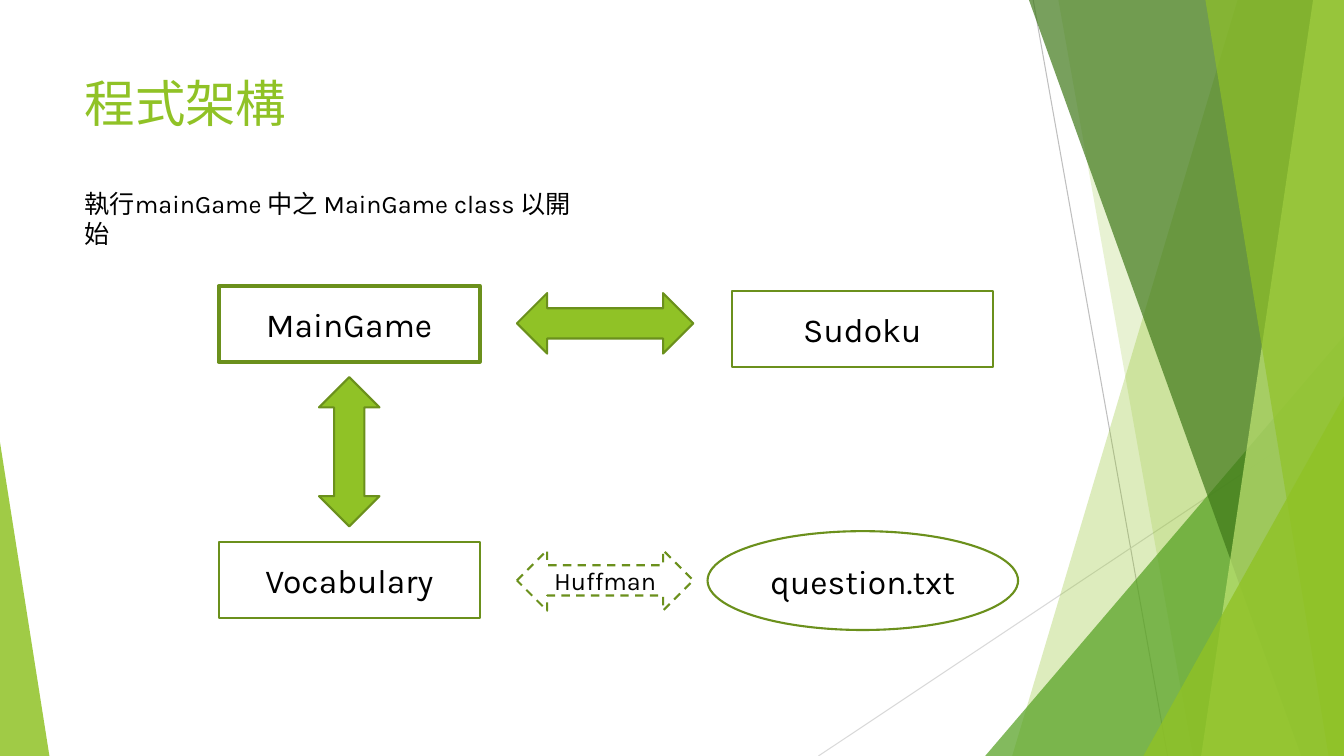
from pptx import Presentation
from pptx.dml.color import RGBColor
from pptx.enum.dml import MSO_LINE
from pptx.enum.shapes import MSO_CONNECTOR, MSO_SHAPE as SHAPE
from pptx.enum.text import MSO_ANCHOR as ANCHOR, MSO_AUTO_SIZE, PP_ALIGN as ALIGN
from pptx.oxml.ns import qn
from pptx.util import Pt
from lxml.etree import SubElement

COLORS = {
    "lime": "90C226", "green": "54A021", "forest": "3F7819", "pale": "C0E474",
    "outline": "6B901C", "gray": "BFBFBF", "silver": "D9D9D9",
    "white": "FFFFFF", "black": "000000",
}
FONT = "Karla"


def rgb(name):
    return RGBColor.from_string(COLORS[name])


def write(tf, text, size=18, color="black", align=ALIGN.LEFT, anchor=ANCHOR.TOP):
    tf.word_wrap = True
    tf.auto_size = MSO_AUTO_SIZE.NONE
    tf.vertical_anchor = anchor
    p = tf.paragraphs[0]
    p.alignment = align
    r = p.add_run()
    r.text = text
    r.font.size = Pt(size)
    r.font.name = FONT
    r.font.color.rgb = rgb(color)


def paint(sp, fill, alpha=100, line=None, width=1.5):
    sp.shadow.inherit = False
    sp.fill.solid()
    sp.fill.fore_color.rgb = rgb(fill)
    if alpha < 100:
        clr = sp._element.spPr.find(qn("a:solidFill"))[0]
        SubElement(clr, qn("a:alpha")).set("val", str(alpha * 1000))
    if line:
        sp.line.color.rgb = rgb(line)
        sp.line.width = Pt(width)
    else:
        sp.line.fill.background()


def add_line(s, x1, y1, x2, y2, color):
    cxn = s.shapes.add_connector(MSO_CONNECTOR.STRAIGHT, Pt(x1), Pt(y1), Pt(x2), Pt(y2))
    cxn.line.color.rgb = rgb(color)
    cxn.line.width = Pt(0.75)
    SubElement(cxn._element.spPr, qn("a:effectLst"))


def add_facet(s, box, top_x, bottom_x, color, alpha):
    x, y, w, h = box
    fb = s.shapes.build_freeform(Pt(x + top_x), Pt(y))
    corners = [(x + w, y), (x + w, y + h), (x + bottom_x, y + h)]
    fb.add_line_segments([(Pt(a), Pt(b)) for a, b in corners], close=True)
    paint(fb.convert_to_shape(), color, alpha)


def add_corner(s, box, w, h, color, alpha, right=True):
    x, y, box_w, box_h = box
    left = x + box_w - w if right else x
    sp = s.shapes.add_shape(SHAPE.ISOSCELES_TRIANGLE, Pt(left), Pt(y + box_h - h), Pt(w), Pt(h))
    sp.adjustments[0] = 1 if right else 0
    paint(sp, color, alpha)


def add_backdrop(s, box):
    x, y, w, h = box
    add_line(s, x + 738, y, x + 834, y + h, "gray")
    add_line(s, x + w, y + 290, x + 584.6, y + h, "silver")
    add_facet(s, box, 884, 723, "lime", 30)
    add_facet(s, box, 756, 852, "lime", 20)
    add_corner(s, box, 256.3, 300, "green", 72)
    add_facet(s, box, 735, 929.5, "forest", 70)
    add_facet(s, box, 938, 858, "pale", 70)
    add_facet(s, box, 861, 949, "lime", 65)
    add_corner(s, box, 143.3, 257, "lime", 80)
    add_corner(s, box, 35.3, 224, "lime", 85, right=False)


def add_heading(s, box):
    x, y, w, h = box
    title = s.shapes.title
    title.left, title.top, title.width, title.height = Pt(x), Pt(y), Pt(w), Pt(104)
    write(title.text_frame, "程式架構", size=36, color="lime")
    sp = s.shapes.add_textbox(Pt(x), Pt(y + 82.8), Pt(373.7), Pt(h - 82.8))
    write(sp.text_frame, "執行mainGame 中之 MainGame class 以開始")


def add_node(s, shape, x, y, w, h, text="", size=24, fill="white", width=1.5):
    sp = s.shapes.add_shape(shape, Pt(x), Pt(y), Pt(w), Pt(h))
    paint(sp, fill, line="outline", width=width)
    if text:
        write(sp.text_frame, text, size=size, align=ALIGN.CENTER, anchor=ANCHOR.MIDDLE)
    return sp


def add_diagram(s, box):
    x, y, w, h = box
    node_w, node_h = 186.5, 54
    arrow_x, arrow_w, arrow_h = x + 213, 126, 43.2
    lower_y = y + 183
    down_w = 106.6

    add_node(s, SHAPE.LEFT_RIGHT_ARROW, arrow_x, y + 5, arrow_w, arrow_h, fill="lime")
    add_node(s, SHAPE.OVAL, x + w - 221.8, y + h - 70.6, 221.8, 70.6, "question.txt")
    add_node(s, SHAPE.RECTANGLE, x, y, node_w, node_h, "MainGame", width=3)
    link = add_node(s, SHAPE.LEFT_RIGHT_ARROW, arrow_x, lower_y + 5.6, arrow_w, arrow_h,
                    "Huffman", size=18)
    link.line.dash_style = MSO_LINE.DASH
    add_node(s, SHAPE.RECTANGLE, x + 366.5, y + 3.6, node_w, node_h, "Sudoku")
    add_node(s, SHAPE.RECTANGLE, x, lower_y, node_w, node_h, "Vocabulary")
    down = add_node(s, SHAPE.LEFT_RIGHT_ARROW, x + (node_w - down_w) / 2, y + 96.7,
                    down_w, arrow_h, fill="lime")
    down.rotation = 90


prs = Presentation()
prs.slide_width, prs.slide_height = Pt(960), Pt(540)
s = prs.slides.add_slide(prs.slide_layouts[5])
add_backdrop(s, (0, 0, 960, 540))
add_heading(s, (53.3, 48.2, 676.8, 133))
add_diagram(s, (156.2, 204.4, 571, 245.6))
prs.save("out.pptx")
